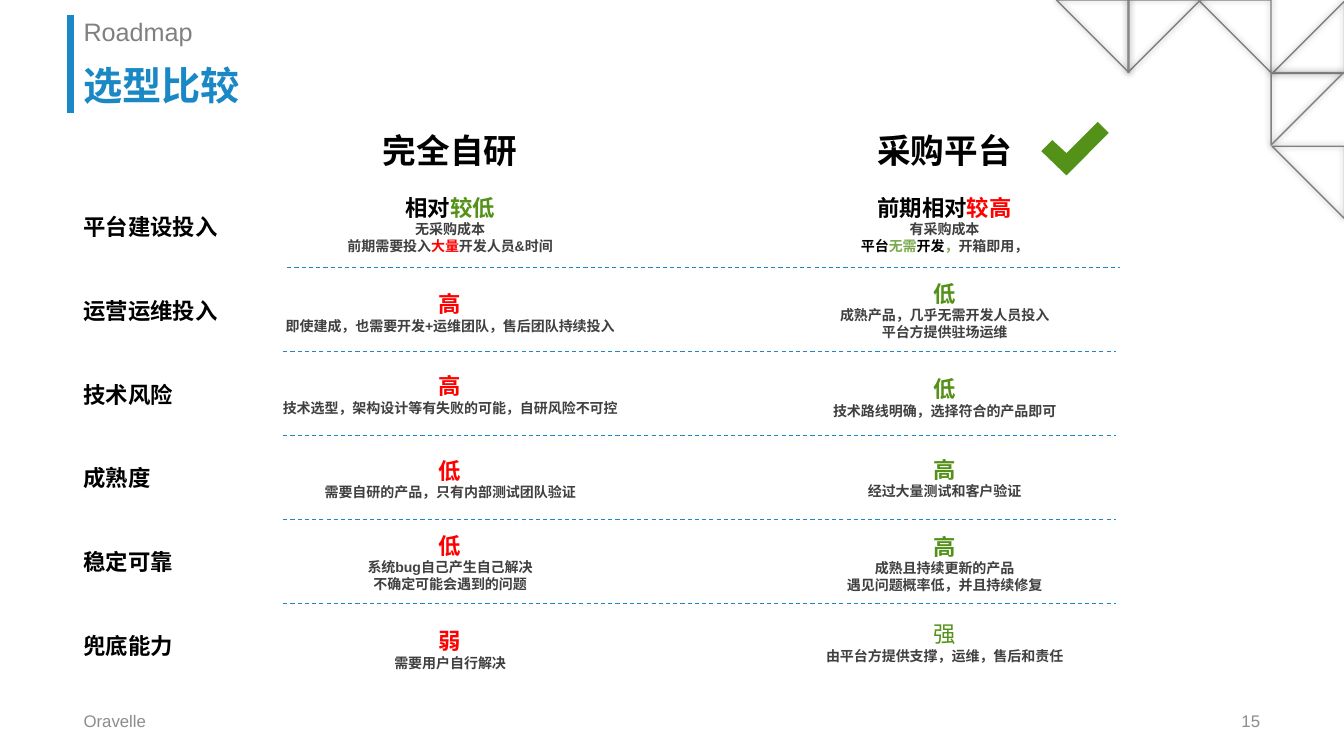
from lxml import etree
from pptx import Presentation
from pptx.dml.color import RGBColor
from pptx.enum.dml import MSO_LINE
from pptx.enum.shapes import MSO_CONNECTOR, MSO_SHAPE
from pptx.enum.text import MSO_ANCHOR, MSO_AUTO_SIZE, PP_ALIGN
from pptx.oxml import parse_xml
from pptx.oxml.ns import nsdecls, qn
from pptx.util import Pt

BLACK = RGBColor(0x00, 0x00, 0x00)
BLUE = RGBColor(0x19, 0x88, 0xC5)
GRAY = RGBColor(0x80, 0x80, 0x80)
FOOTER = RGBColor(0x8C, 0x8C, 0x8C)
DARK = RGBColor(0x40, 0x40, 0x40)
RED = RGBColor(0xFF, 0x00, 0x00)
GREEN = RGBColor(0x54, 0x91, 0x18)
LIGHT_GREEN = RGBColor(0x7B, 0xAA, 0x4E)

deck = Presentation()
deck.slide_width, deck.slide_height = Pt(960), Pt(540)
page = deck.slides.add_slide(deck.slide_layouts[6])


def add_text(left, top, width, height, lines, align=PP_ALIGN.LEFT, anchor=MSO_ANCHOR.MIDDLE):
    box = page.shapes.add_textbox(Pt(left), Pt(top), Pt(width), Pt(height))
    frame = box.text_frame
    frame.word_wrap = True
    frame.vertical_anchor = anchor
    for index, (size, bold, spans) in enumerate(lines):
        para = frame.add_paragraph() if index else frame.paragraphs[0]
        para.alignment = align
        for words, color in spans:
            span = para.add_run()
            span.text = words
            span.font.size = Pt(size)
            span.font.bold = bold
            span.font.name = "Arial"
            span.font.color.rgb = color
            east_asian = etree.SubElement(span.font._element, qn("a:ea"))
            east_asian.set("typeface", "Noto Sans CJK SC")
    return frame


def add_line(left, top, right, bottom, width):
    line = page.shapes.add_connector(MSO_CONNECTOR.STRAIGHT, Pt(left), Pt(top), Pt(right), Pt(bottom))
    line.line.color.rgb = BLUE
    line.line.width = Pt(width)
    etree.SubElement(line._element.spPr, qn("a:effectLst"))
    return line


TRIANGLE = 51.8
for left, top, rotation in [
    (908.6, 0.7, 180), (856.1, 0, 90), (805.7, 0, 0),
    (754.6, 0, 90), (908.6, 104.4, 90), (907.9, 51.8, 0),
]:
    triangle = page.shapes.add_shape(
        MSO_SHAPE.RIGHT_TRIANGLE, Pt(left), Pt(top), Pt(TRIANGLE), Pt(TRIANGLE))
    triangle.rotation = rotation
    triangle.fill.background()
    triangle.line.color.rgb = GRAY
    triangle.line.width = Pt(1)
    properties = triangle._element.spPr
    properties.find(qn("a:xfrm")).set("flipV", "1")
    properties.append(parse_xml(
        f'<a:effectLst {nsdecls("a")}><a:outerShdw blurRad="{Pt(5)}" dist="0" dir="0" algn="ctr" '
        'rotWithShape="0"><a:srgbClr val="000000"><a:alpha val="40000"/></a:srgbClr>'
        '</a:outerShdw></a:effectLst>'))

add_line(50.4, 10.8, 50.4, 80.6, 5)
title = add_text(52.6, 38.9, 854.6, 42.5, [(28, True, [("选型比较", BLUE)])], anchor=MSO_ANCHOR.BOTTOM)
section = add_text(52.6, 10.8, 854.6, 28.1, [(18, False, [("Roadmap", GRAY)])], anchor=MSO_ANCHOR.TOP)
for heading in (title, section):
    heading.paragraphs[0].line_spacing = 0.9

add_text(52.6, 500.4, 229, 28.8, [(12, False, [("Oravelle", FOOTER)])])
add_text(678.2, 500.4, 229, 28.8, [(12, False, [("15", FOOTER)])], PP_ALIGN.RIGHT)

COLUMN_CENTERS = (321.5, 674.7)
for center, name in zip(COLUMN_CENTERS, ("完全自研", "采购平台")):
    add_text(center - 56, 89.3, 112, 36, [(24, True, [(name, BLACK)])], PP_ALIGN.CENTER)

FIRST_LABEL, LABEL_PITCH = 162, 59.8
labels = ("平台建设投入", "运营运维投入", "技术风险", "成熟度", "稳定可靠", "兜底能力")
for row, label in enumerate(labels):
    add_text(52.6, FIRST_LABEL + row * LABEL_PITCH - 13.3, 15.6 + 16 * len(label), 26.6,
             [(16, True, [(label, BLACK)])])

FIRST_RULE, RULE_PITCH = 190.8, 60.1
for row in range(len(labels) - 1):
    left = 205.2 if row == 0 else 202.3
    top = FIRST_RULE + row * RULE_PITCH
    add_line(left, top, left + 595, top, 0.75).line.dash_style = MSO_LINE.DASH

self_built = [
    (160.2, 163.4, [("相对", BLACK), ("较低", GREEN)],
     [[("无采购成本", DARK)],
      [("前期需要投入", DARK), ("大量", RED), ("开发人员&时间", DARK)]]),
    (223.2, 252, [("高", RED)], [[("即使建成，也需要开发+运维团队，售后团队持续投入", DARK)]]),
    (281.5, 260.6, [("高", RED)], [[("技术选型，架构设计等有失败的可能，自研风险不可控", DARK)]]),
    (342, 196.6, [("低", RED)], [[("需要自研的产品，只有内部测试团队验证", DARK)]]),
    (401.4, 133.9, [("低", RED)],
     [[("系统bug自己产生自己解决", DARK)], [("不确定可能会遇到的问题", DARK)]]),
    (463.7, 95, [("弱", RED)], [[("需要用户自行解决", DARK)]]),
]
purchased = [
    (160.2, 135.6, [("前期相对", BLACK), ("较高", RED)],
     [[("有采购成本", DARK)],
      [("平台", BLACK), ("无需", LIGHT_GREEN), ("开发", BLACK), ("，", LIGHT_GREEN),
       ("开箱即用，", DARK)]]),
    (221.4, 166.3, [("低", GREEN)],
     [[("成熟产品，几乎无需开发人员投入", DARK)], [("平台方提供驻场运维", DARK)]]),
    (283.7, 179.3, [("低", GREEN)], [[("技术路线明确，选择符合的产品即可", DARK)]]),
    (341.3, 125.3, [("高", GREEN)], [[("经过大量测试和客户验证", DARK)]]),
    (402.1, 156.2, [("高", GREEN)],
     [[("成熟且持续更新的产品", DARK)], [("遇见问题概率低，并且持续修复", DARK)]]),
    (458.6, 186.5, [("强", GREEN)], [[("由平台方提供支撑，运维，售后和责任", DARK)]]),
]
for center, ratings in zip(COLUMN_CENTERS, (self_built, purchased)):
    for middle, width, rating, details in ratings:
        height = 26.7 + 12.2 * len(details)
        rating_bold = rating[0][0] != "强"
        lines = [(16, rating_bold, rating)] + [(10, True, detail) for detail in details]
        cell = add_text(center - width / 2, middle - height / 2, width, height, lines, PP_ALIGN.CENTER)
        cell.auto_size = MSO_AUTO_SIZE.SHAPE_TO_FIT_TEXT

outline = page.shapes.build_freeform(Pt(784.1), Pt(87.1))
outline.add_line_segments([(Pt(x), Pt(y)) for x, y in [
    (761.8, 109.4), (751.7, 100.1), (743.8, 108), (761.8, 125.3), (792, 95)]])
check_mark = outline.convert_to_shape()
check_mark.shadow.inherit = False
check_mark.fill.solid()
check_mark.fill.fore_color.rgb = GREEN
check_mark.line.fill.background()

deck.save("out.pptx")
